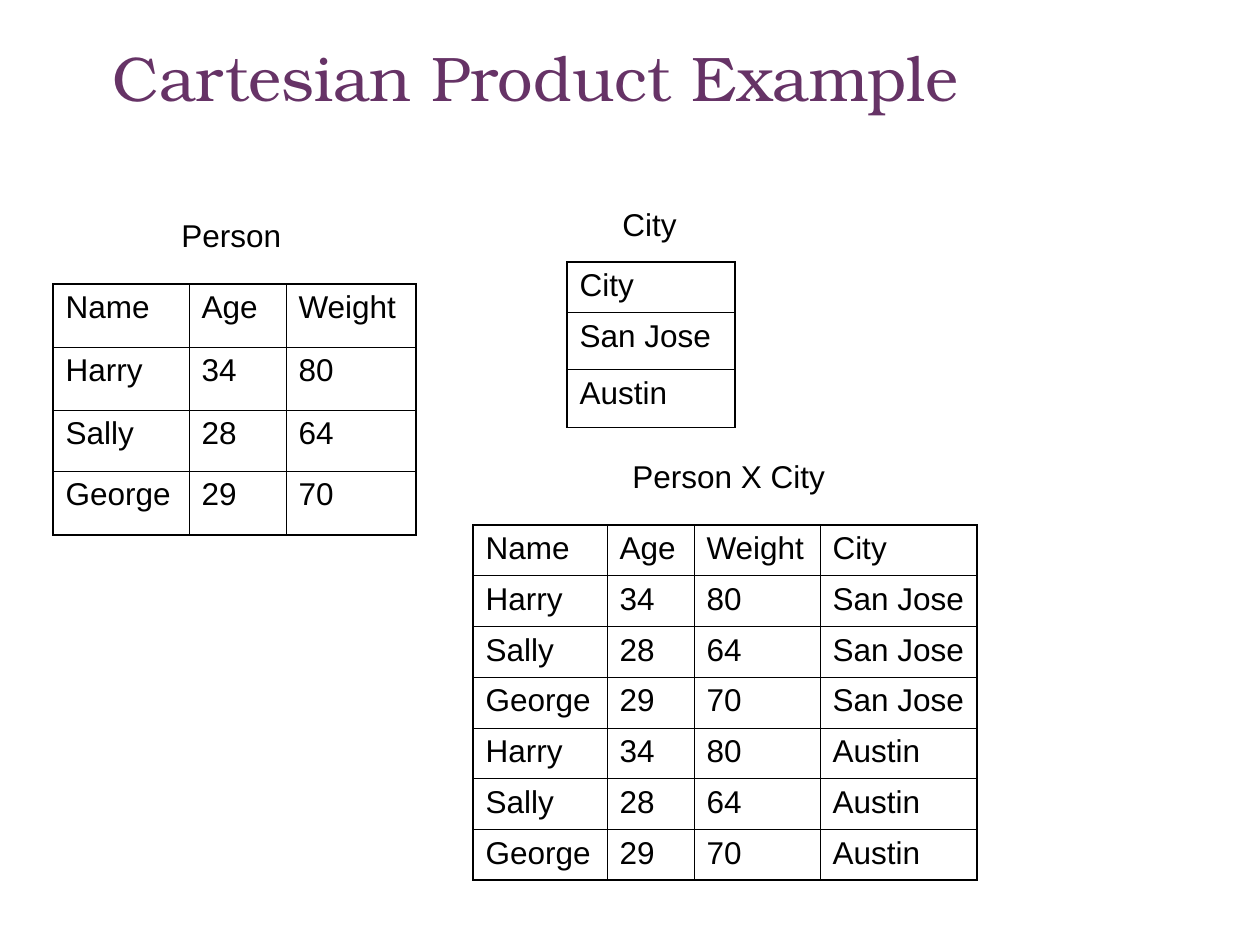
"""Build the Cartesian product example slide."""
from lxml import etree
from pptx import Presentation
from pptx.dml.color import RGBColor
from pptx.enum.text import MSO_ANCHOR, MSO_AUTO_SIZE, PP_ALIGN
from pptx.oxml.ns import qn
from pptx.util import Pt

CENTER = PP_ALIGN.CENTER
LEFT = PP_ALIGN.LEFT
TOP = MSO_ANCHOR.TOP
GROW = MSO_AUTO_SIZE.SHAPE_TO_FIT_TEXT
BLACK = RGBColor(0, 0, 0)
PURPLE = RGBColor(0x66, 0x33, 0x66)
SCALE = 914400 / 126
THIN, THICK = Pt(0.45), Pt(1.08)


def emu(*sizes):
    return [round(size * SCALE) for size in sizes]


def style(frame, font, size, color, align):
    para = frame.paragraphs[0]
    para.alignment = align
    run = para.runs[0]
    run.font.name = font
    run.font.size = Pt(size)
    run.font.color.rgb = color


prs = Presentation()
prs.slide_width, prs.slide_height = emu(1260, 945)
slide = prs.slides.add_slide(prs.slide_layouts[6])

title = slide.shapes.add_textbox(*emu(30, 32, 1031, 157)).text_frame
title.word_wrap = True
title.vertical_anchor = TOP
title.text = "Cartesian Product Example "
style(title, "TeX Gyre Bonum", 36, PURPLE, CENTER)

people = [["Harry", "34", "80"], ["Sally", "28", "64"], ["George", "29", "70"]]
towns = [["San Jose"], ["Austin"]]
head = ["Name", "Age", "Weight"]
pairs = [who + town for town in towns for who in people]

tables = [
    (53, 284, [136, 97, 130], [63, 63, 61, 64], [head] + people),
    (567, 262, [168], [50, 57, 58], [["City"]] + towns),
    (473, 525, [134, 87, 126, 157], [50 + row % 2 for row in range(7)],
     [head + ["City"]] + pairs),
]
for left, top, widths, heights, data in tables:
    rows, cols = len(heights), len(widths)
    box = emu(left, top, sum(widths), sum(heights))
    table = slide.shapes.add_table(rows, cols, *box).table
    table.first_row = table.horz_banding = False
    for col, width in zip(table.columns, emu(*widths)):
        col.width = width
    for row, height in zip(table.rows, emu(*heights)):
        row.height = height
    for r, line in enumerate(data):
        for c, word in enumerate(line):
            cell = table.cell(r, c)
            cell.text = word
            style(cell.text_frame, "Arial", 18, BLACK, LEFT)
            cell.fill.background()
            props = cell._tc.get_or_add_tcPr()
            edges = {"L": c == 0, "R": c == cols - 1,
                     "T": r == 0, "B": r == rows - 1}
            for spot, (side, outer) in enumerate(edges.items()):
                edge = etree.Element(qn("a:ln" + side), w=str(THICK if outer else THIN))
                fill = etree.SubElement(edge, qn("a:solidFill"))
                etree.SubElement(fill, qn("a:srgbClr"), val=str(BLACK))
                props.insert(spot, edge)

labels = [
    ("Person", 169, 210, 125),
    ("City", 610, 199, 79),
    ("Person X City", 620, 451, 218),
]
for name, left, top, width in labels:
    frame = slide.shapes.add_textbox(*emu(left, top, width, 50)).text_frame
    frame.word_wrap = False
    frame.auto_size = GROW
    frame.text = name
    style(frame, "Arial", 18, BLACK, LEFT)

prs.save("out.pptx")
